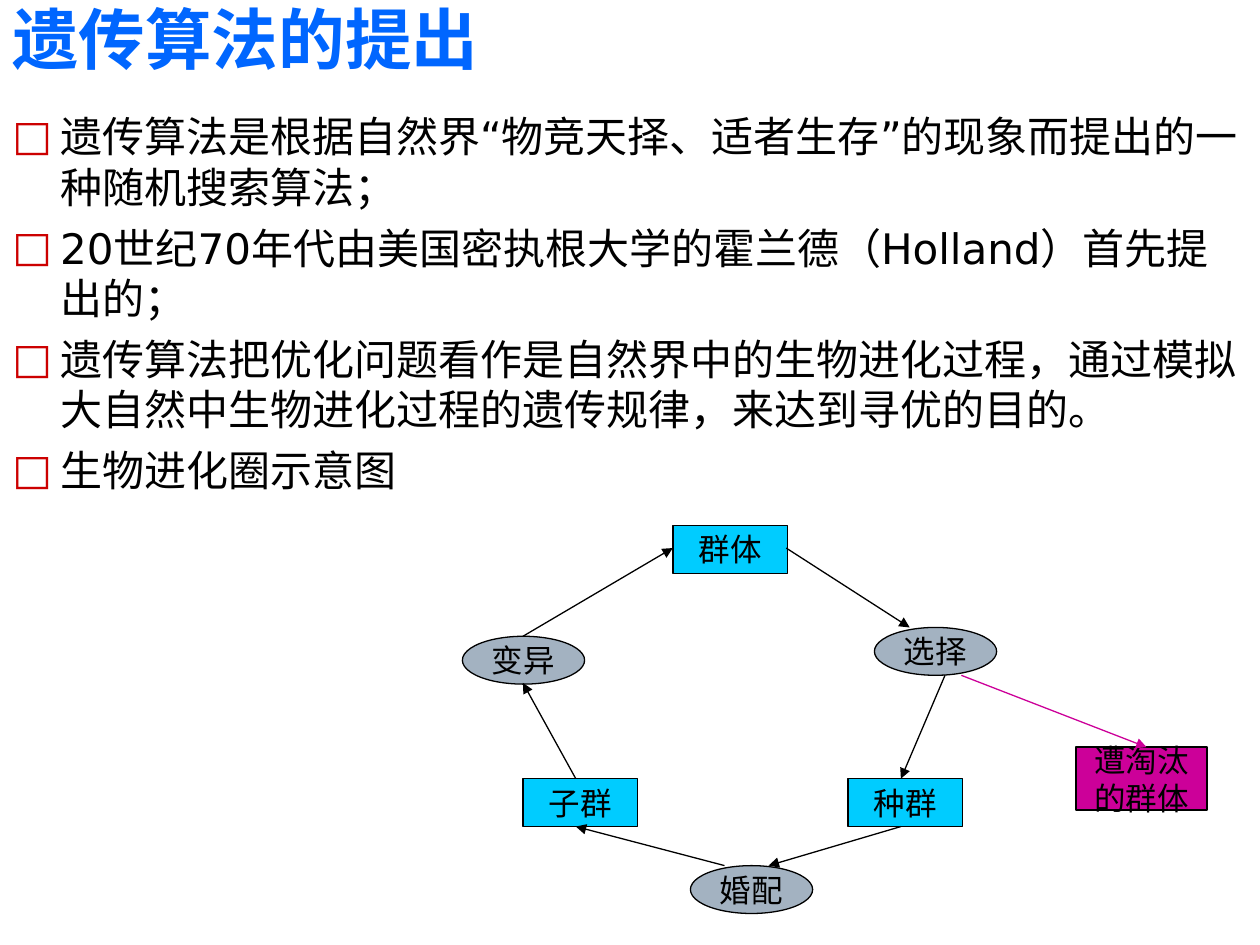
from lxml.etree import SubElement
from pptx import Presentation
from pptx.dml.color import RGBColor
from pptx.enum.shapes import MSO_CONNECTOR, MSO_SHAPE
from pptx.enum.text import MSO_ANCHOR, PP_ALIGN
from pptx.oxml.ns import qn
from pptx.util import Inches, Pt

BLACK = RGBColor(0x00, 0x00, 0x00)
TITLE_BLUE = RGBColor(0x00, 0x66, 0xFF)
BULLET_RED = RGBColor(0xCC, 0x00, 0x00)
OPERATION_GREY = RGBColor(0xA3, 0xB2, 0xC1)
POPULATION_CYAN = RGBColor(0x00, 0xCC, 0xFF)
DISCARD_MAGENTA = RGBColor(0xCC, 0x00, 0x99)
FONT = "DejaVu Sans"

TITLE = "遗传算法的提出"
POINTS = [
    "遗传算法是根据自然界“物竞天择、适者生存”的现象而提出的一种随机搜索算法；",
    "20世纪70年代由美国密执根大学的霍兰德（Holland）首先提出的；",
    "遗传算法把优化问题看作是自然界中的生物进化过程，通过模拟大自然中生物进化过程的遗传规律，来达到寻优的目的。",
    "生物进化圈示意图",
]
OPERATION = (MSO_SHAPE.OVAL, OPERATION_GREY, 0.97, 0.38)
POPULATION = (MSO_SHAPE.RECTANGLE, POPULATION_CYAN, 0.91, 0.38)
DISCARD = (MSO_SHAPE.RECTANGLE, DISCARD_MAGENTA, 1.04, 0.5)
NODES = [
    (OPERATION, 5.48, 6.87, ["婚配"]),
    (OPERATION, 6.94, 4.98, ["选择"]),
    (OPERATION, 3.67, 5.05, ["变异"]),
    (POPULATION, 4.15, 6.18, ["子群"]),
    (POPULATION, 6.73, 6.18, ["种群"]),
    (POPULATION, 5.34, 4.17, ["群体"]),
    (DISCARD, 8.54, 5.93, ["遭淘汰", "的群体"]),
]
ARROWS = [
    ((6.24, 4.35), (7.22, 4.98), BLACK),
    ((7.5, 5.36), (7.15, 6.18), BLACK),
    ((7.15, 6.56), (6.1, 6.87), BLACK),
    ((5.75, 6.87), (4.57, 6.56), BLACK),
    ((4.57, 6.18), (4.15, 5.42), BLACK),
    ((4.15, 5.05), (5.34, 4.35), BLACK),
    ((7.63, 5.36), (9.1, 5.93), DISCARD_MAGENTA),
]


def apply_format(target, values):
    for name, value in values.items():
        setattr(target, name, value)


def write_paragraphs(frame, texts, size, color=BLACK, bold=False, **layout):
    for index, text in enumerate(texts):
        paragraph = frame.add_paragraph() if index else frame.paragraphs[0]
        apply_format(paragraph, layout)
        run = paragraph.add_run()
        run.text = text
        apply_format(run.font, {"name": FONT, "size": Pt(size), "bold": bold})
        run.font.color.rgb = color
        SubElement(run.font._element, qn("a:ea"), typeface=FONT)


def add_text(slide, left, top, width, height, anchor):
    box = slide.shapes.add_textbox(*map(Inches, (left, top, width, height)))
    apply_format(box.text_frame, {"word_wrap": True, "vertical_anchor": anchor})
    return box.text_frame


def add_bullet(paragraph):
    properties = paragraph._p.get_or_add_pPr()
    properties.set("marL", str(Inches(0.38)))
    properties.set("indent", str(Inches(-0.38)))
    color = SubElement(properties, qn("a:buClr"))
    SubElement(color, qn("a:srgbClr"), val=str(BULLET_RED))
    SubElement(properties, qn("a:buFont"), typeface=FONT)
    SubElement(properties, qn("a:buChar"), char="□")


def add_node(slide, style, left, top, lines):
    kind, fill, width, height = style
    shape = slide.shapes.add_shape(kind, *map(Inches, (left, top, width, height)))
    shape.shadow.inherit = False
    shape.fill.solid()
    shape.fill.fore_color.rgb = fill
    shape.line.color.rgb = BLACK
    shape.line.width = Pt(0.75)
    frame = shape.text_frame
    apply_format(frame, {"word_wrap": False, "vertical_anchor": MSO_ANCHOR.MIDDLE})
    write_paragraphs(frame, lines, 18, alignment=PP_ALIGN.CENTER)


def add_arrow(slide, start, end, color):
    points = map(Inches, (*start, *end))
    arrow = slide.shapes.add_connector(MSO_CONNECTOR.STRAIGHT, *points)
    arrow.line.color.rgb = color
    arrow.line.width = Pt(0.75)
    SubElement(arrow.line._get_or_add_ln(), qn("a:tailEnd"), type="triangle")
    SubElement(arrow._element.spPr, qn("a:effectLst"))


def main():
    presentation = Presentation()
    presentation.slide_width = Inches(10)
    presentation.slide_height = Inches(7.5)
    slide = presentation.slides.add_slide(presentation.slide_layouts[6])

    title = add_text(slide, 0, 0, 8.75, 0.67, MSO_ANCHOR.BOTTOM)
    write_paragraphs(title, [TITLE], 38, TITLE_BLUE, bold=True)
    body = add_text(slide, 0, 0.83, 10, 6.67, MSO_ANCHOR.TOP)
    write_paragraphs(body, POINTS, 24, space_before=Pt(6))
    for paragraph in body.paragraphs:
        add_bullet(paragraph)

    for node in NODES:
        add_node(slide, *node)
    for arrow in ARROWS:
        add_arrow(slide, *arrow)
    presentation.save("out.pptx")


if __name__ == "__main__":
    main()
